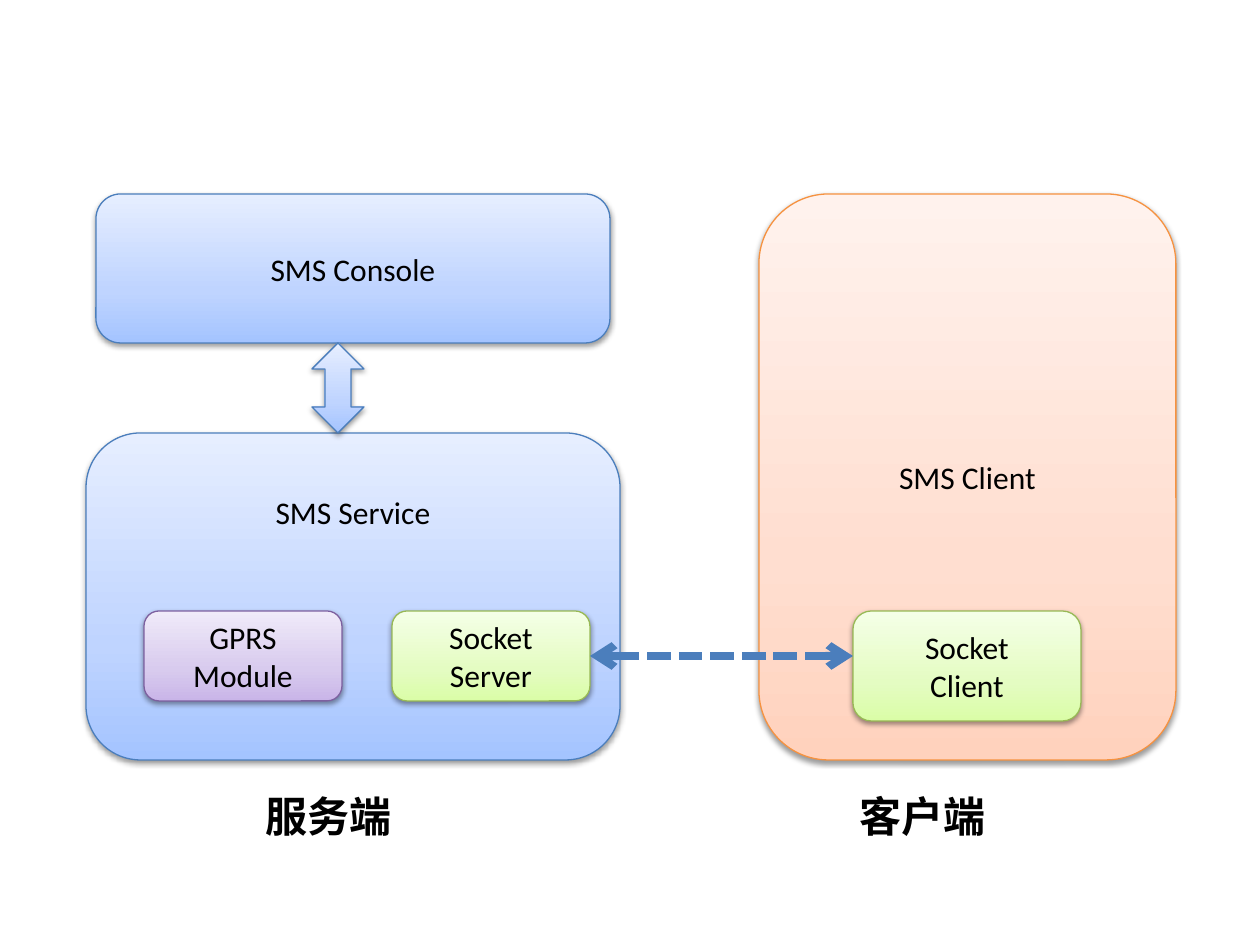
from copy import deepcopy

from lxml.etree import SubElement
from pptx import Presentation
from pptx.dml.color import RGBColor
from pptx.enum.dml import MSO_LINE
from pptx.enum.shapes import MSO_CONNECTOR, MSO_SHAPE
from pptx.enum.text import MSO_ANCHOR, MSO_AUTO_SIZE, PP_ALIGN
from pptx.oxml.ns import qn
from pptx.util import Inches, Pt

SCALE = 914400 / 126
BLUE = ("4B7EBC", "A4C4FF", "BFD4FF", "E6EEFF")
PURPLE = ("7D60A0", "C9B5E8", "D8CBEE", "F0EAF9")
GREEN = ("98B955", "DAFDA7", "E4FCC2", "F5FFE7")
ORANGE = ("F69240", "FFD2BD", "FFDED0", "FFF2ED")


def px(length):
    return round(length * SCALE)


def color(hex_value):
    return RGBColor.from_string(hex_value)


def write(frame, text, size, align, bold=False):
    frame.word_wrap = True
    frame.vertical_anchor = MSO_ANCHOR.MIDDLE
    frame.text = text
    for paragraph in frame.paragraphs:
        paragraph.alignment = align
        for run in paragraph.runs:
            run.font.name = "Calibri"
            run.font.size = Pt(size)
            run.font.bold = bold
            run.font.color.rgb = color("000000")


def add_gradient(shape, shades):
    shape.fill.gradient()
    shape.fill.gradient_angle = 90
    stop_list = shape._element.spPr.find(qn("a:gradFill")).find(qn("a:gsLst"))
    stop_list.insert(1, deepcopy(stop_list[0]))
    for stop, position, shade in zip(shape.fill.gradient_stops, (0, 0.35, 1), shades):
        stop.position = position
        stop.color.rgb = color(shade)


def add_shadow(shape):
    shape.shadow.inherit = False
    effects = shape._element.spPr.find(qn("a:effectLst"))
    outer = SubElement(effects, qn("a:outerShdw"), blurRad=str(Pt(3.1)),
                       dist=str(Pt(1.6)), dir="5400000", rotWithShape="0")
    black = SubElement(outer, qn("a:srgbClr"), val="000000")
    SubElement(black, qn("a:alpha"), val="38000")


def add_block(slide, box, palette, text="", kind=MSO_SHAPE.ROUNDED_RECTANGLE):
    outline, *shades = palette
    block = slide.shapes.add_shape(kind, *map(px, box))
    add_gradient(block, shades)
    block.line.color.rgb = color(outline)
    block.line.width = Pt(0.75)
    add_shadow(block)
    if text:
        write(block.text_frame, text, 18, PP_ALIGN.CENTER)
    return block


def add_caption(slide, box, text):
    caption = slide.shapes.add_textbox(*map(px, box))
    write(caption.text_frame, text, 24, PP_ALIGN.LEFT, bold=True)
    caption.text_frame.auto_size = MSO_AUTO_SIZE.SHAPE_TO_FIT_TEXT


def add_server_side(slide, box):
    left, top, width, height = box
    service_top = top + 239
    service = add_block(slide, (left, service_top, width, height - 239), BLUE, "SMS Service")
    service.text_frame.vertical_anchor = MSO_ANCHOR.TOP
    service.text_frame.margin_top = px(44)
    module_top = service_top + 178
    add_block(slide, (left + 58, module_top, 198, 90), PURPLE, "GPRS Module")
    socket_server = add_block(slide, (left + 306, module_top, 198, 90), GREEN, "Socket\nServer")
    add_block(slide, (left + 10, top, width - 20, 149), BLUE, "SMS Console")
    add_block(slide, (left + 226, top + 149, 52, 90), BLUE, kind=MSO_SHAPE.UP_DOWN_ARROW)
    add_caption(slide, (left + 167, top + height + 24, 228, 63), "服务端")
    return socket_server


def add_client_side(slide, box):
    left, top, width, height = box
    add_block(slide, box, ORANGE, "SMS Client")
    socket_client = add_block(slide, (left + 94, top + 417, 228, 110), GREEN, "Socket\nClient")
    add_caption(slide, (left + 88, top + height + 24, 228, 63), "客户端")
    return socket_client


def add_socket_link(slide, socket_server, socket_client):
    start = socket_server.left + socket_server.width
    level = socket_server.top + socket_server.height // 2
    link = slide.shapes.add_connector(
        MSO_CONNECTOR.STRAIGHT, start, level, socket_client.left, level)
    link.begin_connect(socket_server, 3)
    link.line.color.rgb = color("4B7EBC")
    link.line.width = Pt(4.5)
    link.line.dash_style = MSO_LINE.SQUARE_DOT
    properties = link._element.spPr
    outline = properties.find(qn("a:ln"))
    for end in ("a:headEnd", "a:tailEnd"):
        SubElement(outline, qn(end), type="arrow")
    SubElement(properties, qn("a:effectLst"))


def main():
    presentation = Presentation()
    presentation.slide_width = Inches(10)
    presentation.slide_height = Inches(7.5)
    slide = presentation.slides.add_slide(presentation.slide_layouts[6])
    socket_server = add_server_side(slide, (86, 194, 534, 566))
    socket_client = add_client_side(slide, (759, 194, 417, 566))
    add_socket_link(slide, socket_server, socket_client)
    presentation.save("out.pptx")


if __name__ == "__main__":
    main()
